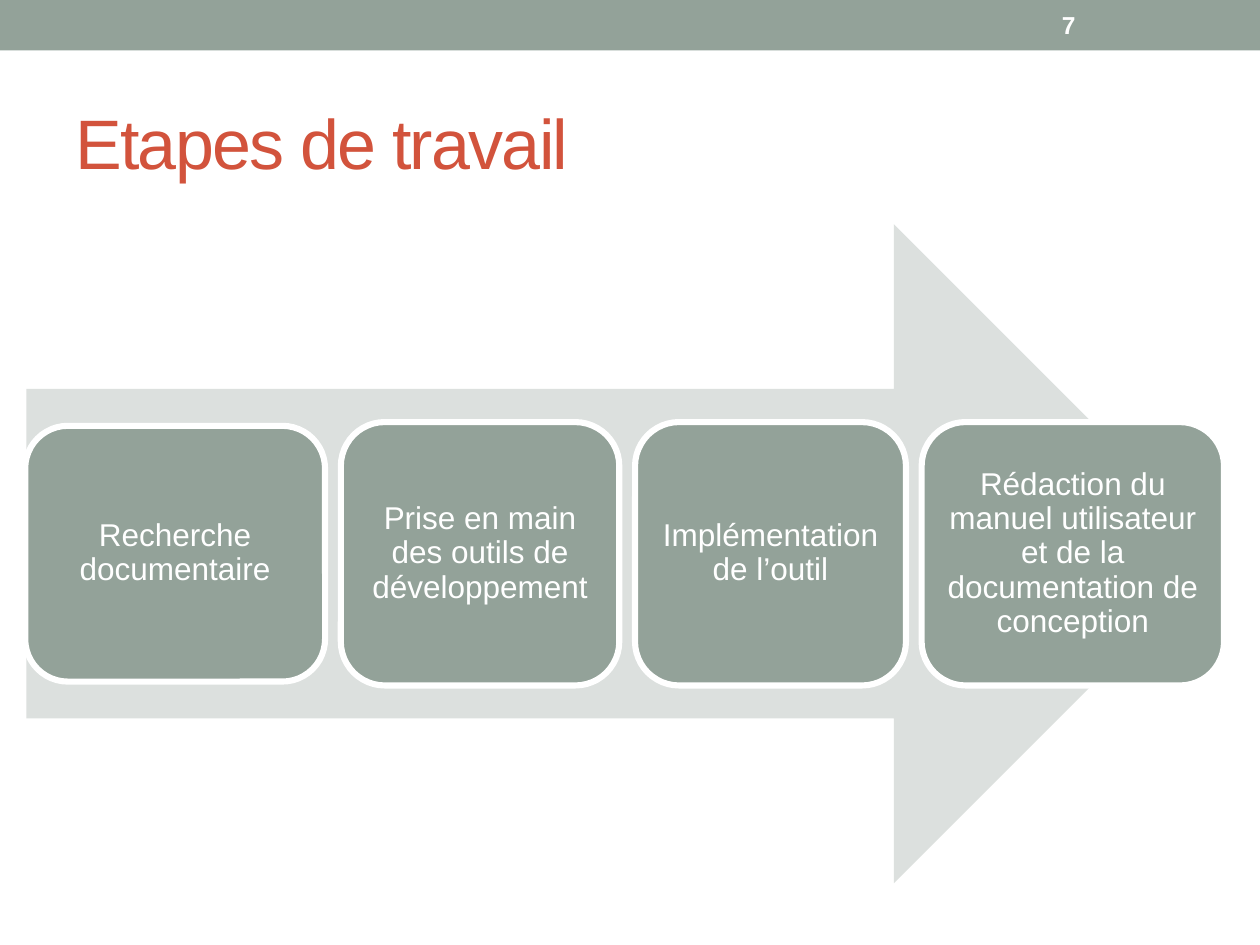
from dataclasses import dataclass

from pptx import Presentation
from pptx import util as u
from pptx.dml.color import RGBColor
from pptx.enum import shapes, text

COLOURS = {"sage": "93A299", "mist": "DCE0DE", "brick": "D2533C", "white": "FFFFFF"}
COLUMNS, ROWS = 1000, 750
CELL = u.Inches(0.01)
STEP_MIDDLE = 439.5
STEP_GAP = 12.5
FIRST_STEP_LEFT = 20


@dataclass(frozen=True)
class Area:
    left: float
    top: float
    width: float
    height: float

    def lengths(self) -> list[int]:
        return [round(cells * CELL) for cells in (self.left, self.top, self.width, self.height)]


@dataclass(frozen=True)
class Step:
    label: str
    width: float
    height: float


STEPS = (
    Step("Recherche documentaire", 238, 203),
    Step("Prise en main des outils de développement", 221, 209),
    Step("Implémentation de l’outil", 215, 209),
    Step("Rédaction du manuel utilisateur et de la documentation de conception", 240, 209),
)


def colour(name: str) -> RGBColor:
    return RGBColor.from_string(COLOURS[name])


def write(box, words: str, size: float, ink: str, bold: bool = False):
    frame = box.text_frame
    frame.text = words
    frame.word_wrap = True
    frame.vertical_anchor = text.MSO_ANCHOR.MIDDLE
    span = frame.paragraphs[0].runs[0]
    span.font.name = "Arial"
    span.font.size = u.Pt(size)
    span.font.bold = bold
    span.font.color.rgb = colour(ink)
    return span


def add_box(page, kind, area: Area, fill: str):
    box = page.shapes.add_shape(kind, *area.lengths())
    box.shadow.inherit = False
    box.fill.solid()
    box.fill.fore_color.rgb = colour(fill)
    box.line.fill.background()
    return box


def add_label(page, area: Area, words: str, size: float, ink: str, bold: bool = False):
    return write(page.shapes.add_textbox(*area.lengths()), words, size, ink, bold)


def add_step(page, step: Step, left: float) -> None:
    area = Area(left, STEP_MIDDLE - step.height / 2, step.width, step.height)
    box = add_box(page, shapes.MSO_SHAPE.ROUNDED_RECTANGLE, area, "sage")
    box.line.color.rgb = colour("white")
    box.line.width = u.Pt(3.5)
    write(box, step.label, 18, "white")
    frame = box.text_frame
    frame.margin_left = frame.margin_right = u.Inches(0.07)
    frame.margin_top = frame.margin_bottom = u.Inches(0.07)
    para = frame.paragraphs[0]
    para.alignment = text.PP_ALIGN.CENTER
    para.line_spacing = 0.9


deck = Presentation()
deck.slide_width, deck.slide_height = COLUMNS * CELL, ROWS * CELL
page = deck.slides.add_slide(deck.slide_layouts[6])

add_box(page, shapes.MSO_SHAPE.RECTANGLE, Area(0, 0, COLUMNS, 40), "sage")
title = add_label(page, Area(50, 58, 900, 108), "Etapes de travail", 40, "brick")
title.font._element.set("spc", "-100")
add_box(page, shapes.MSO_SHAPE.RIGHT_ARROW, Area(21, 178, 950, 523), "mist")

left = FIRST_STEP_LEFT
for step in STEPS:
    add_step(page, step, left)
    left += step.width + STEP_GAP

add_label(page, Area(833, 2, 117, 36), "7", 14, "white", bold=True)
deck.save("out.pptx")
